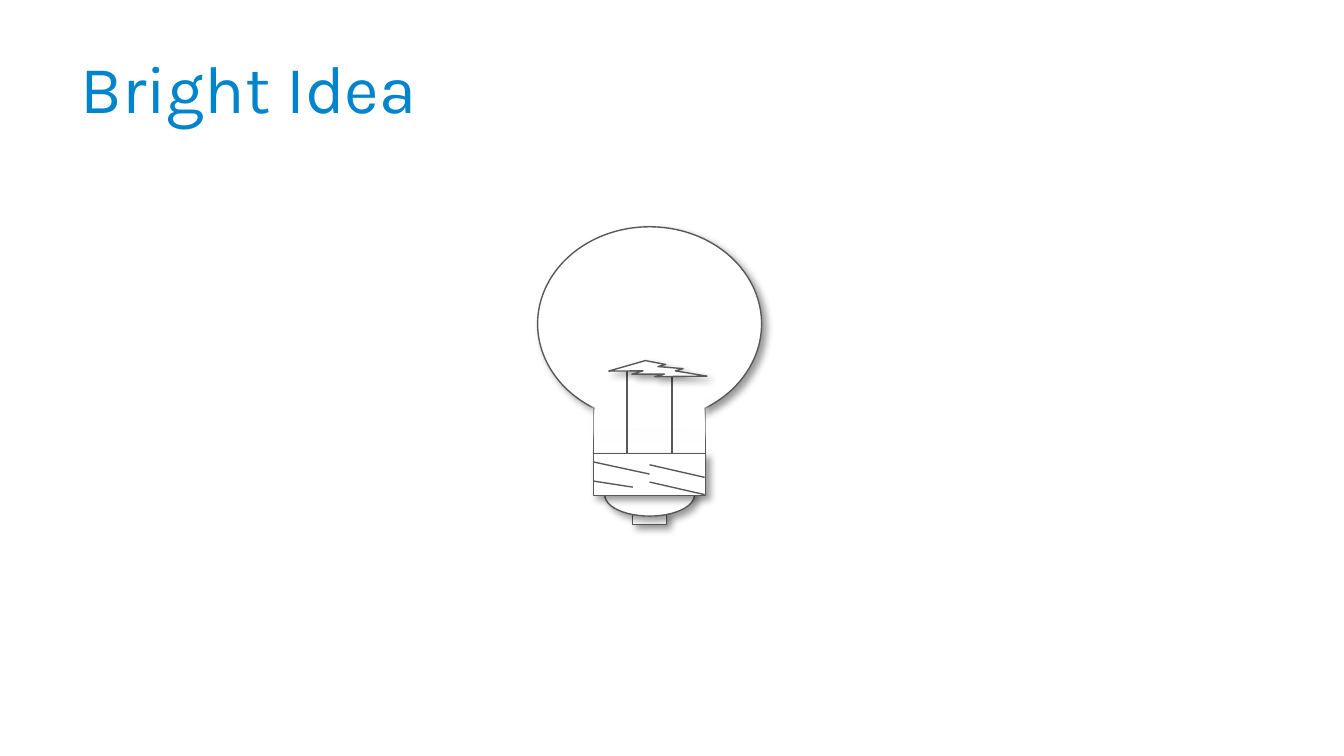
"""Build a slide with a light bulb drawn from simple shapes."""
from dataclasses import dataclass

from lxml.etree import SubElement as Sub
from pptx import Presentation
from pptx.dml.color import RGBColor as RGB
from pptx.enum.shapes import MSO_CONNECTOR as Link, MSO_SHAPE as Form
from pptx.enum.text import MSO_ANCHOR as Anchor, PP_ALIGN as Align
from pptx.oxml.ns import qn
from pptx.util import Pt


@dataclass(frozen=True)
class Theme:
    font: str = "Karla"
    size: float = 36
    lead: float = 35
    edge: float = 0.75
    blue: str = "0084CC"
    gray: str = "58585A"
    white: str = "FFFFFF"
    black: str = "000000"


theme = Theme()


def add_part(form, left, top, width, height, ink=theme.gray, glow=(theme.black, 40, 3, 45)):
    part = slide.shapes.add_shape(form, Pt(left), Pt(top), Pt(width), Pt(height))
    part.fill.solid()
    part.fill.fore_color.rgb = RGB.from_string(theme.white)
    part.line.color.rgb = RGB.from_string(ink)
    part.line.width = Pt(theme.edge)
    part.shadow.inherit = False
    tint, alpha, dist, angle = glow
    effects = part._element.spPr.find(qn("a:effectLst"))
    shade = Sub(effects, qn("a:outerShdw"), blurRad=str(Pt(4)), dist=str(Pt(dist)),
                dir=str(angle * 60000), algn="ctr", rotWithShape="0")
    color = Sub(shade, qn("a:srgbClr"), val=tint)
    Sub(color, qn("a:alpha"), val=str(alpha * 1000))
    return part


def add_line(x1, y1, x2, y2):
    line = slide.shapes.add_connector(Link.STRAIGHT, Pt(x1), Pt(y1), Pt(x2), Pt(y2))
    line.line.color.rgb = RGB.from_string(theme.gray)
    line.line.width = Pt(theme.edge)
    Sub(line._element.spPr, qn("a:effectLst"))


deck = Presentation()
deck.slide_width, deck.slide_height = Pt(720), Pt(405)
slide = deck.slides.add_slide(deck.slide_layouts[5])
slide.background.fill.solid()
slide.background.fill.fore_color.rgb = RGB.from_string(theme.white)

title = slide.shapes.title
title.left, title.top, title.width, title.height = Pt(36), Pt(16.5), Pt(648), Pt(67.5)
frame = title.text_frame
frame.word_wrap = True
frame.vertical_anchor = Anchor.MIDDLE
para = frame.paragraphs[0]
para.alignment = Align.LEFT
para.line_spacing = Pt(theme.lead)
run = para.add_run()
run.text = "Bright Idea"
run.font.name = theme.font
run.font.size = Pt(theme.size)
run.font.color.rgb = RGB.from_string(theme.blue)

left, mid, right, base = 318, 348, 378, 243

add_part(Form.RECTANGLE, 339, 274.5, 18, 6.5)
add_part(Form.OVAL, 324, 254, 48, 22.5)
add_part(Form.RECTANGLE, left, base, right - left, 22.5)
for x in (left, right):
    add_line(x, 216, x, base)
add_part(Form.OVAL, 288, 121.5, 120, 104)
add_part(Form.RECTANGLE, 319, 212, 58, 17, theme.white, (theme.white, 100, 4, 90))

for x, y, run_x, drop in (
    (left, 247.5, 30, 6.5),
    (left, 257.75, 21, 3.25),
    (mid, 249, 29.5, 6.75),
    (mid, 258.25, 29.5, 6.75),
):
    add_line(x, y, x + run_x, y + drop)

for x, top in ((336, 198), (360, 197.5)):
    add_line(x, base, x, top)
bolt = add_part(Form.LIGHTNING_BOLT, 326.5, 192.25, 51.5, 13.5)
bolt.rotation = 350.8

deck.save("out.pptx")
